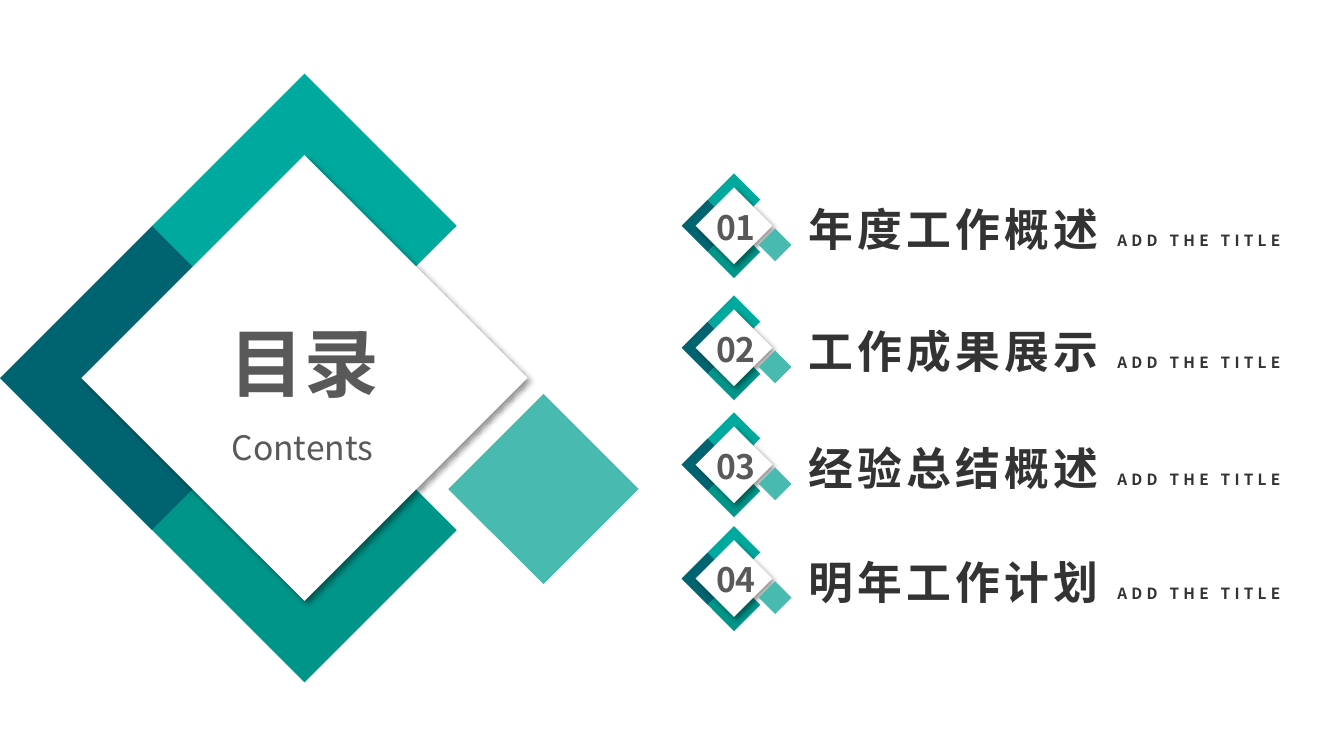
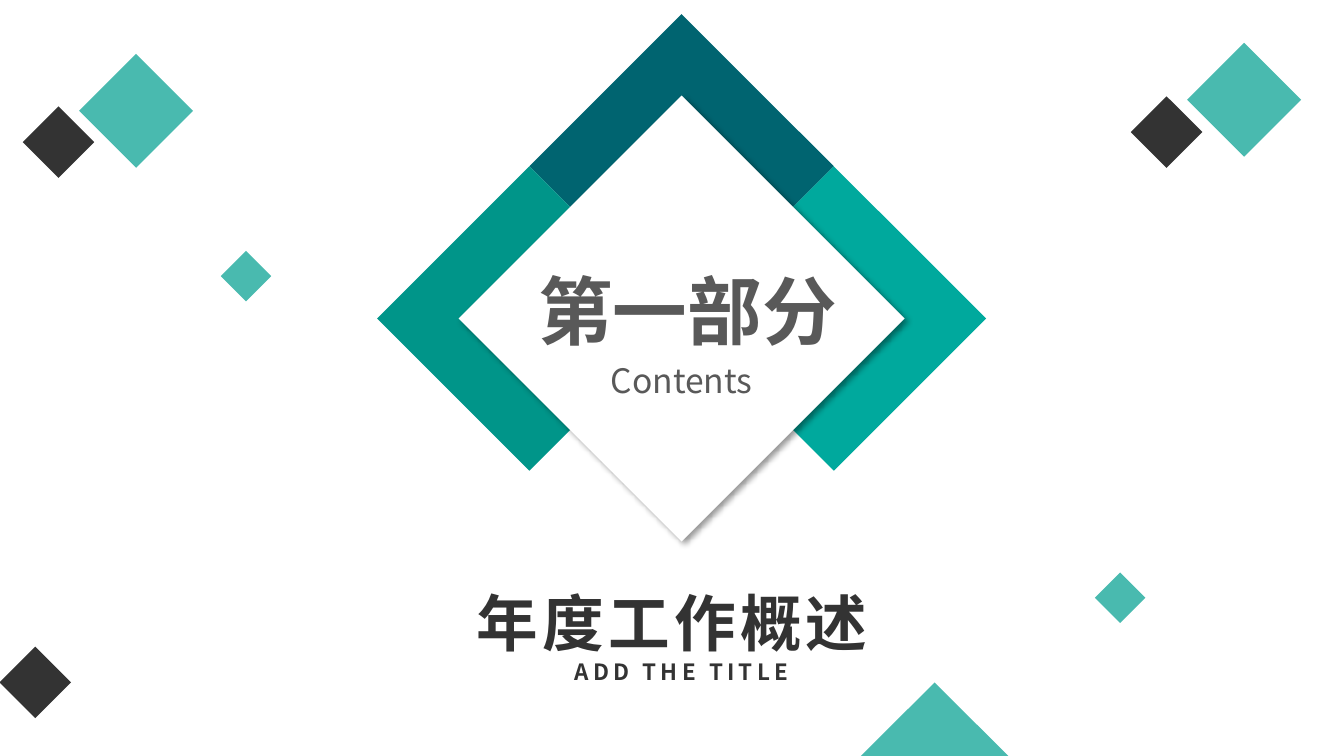
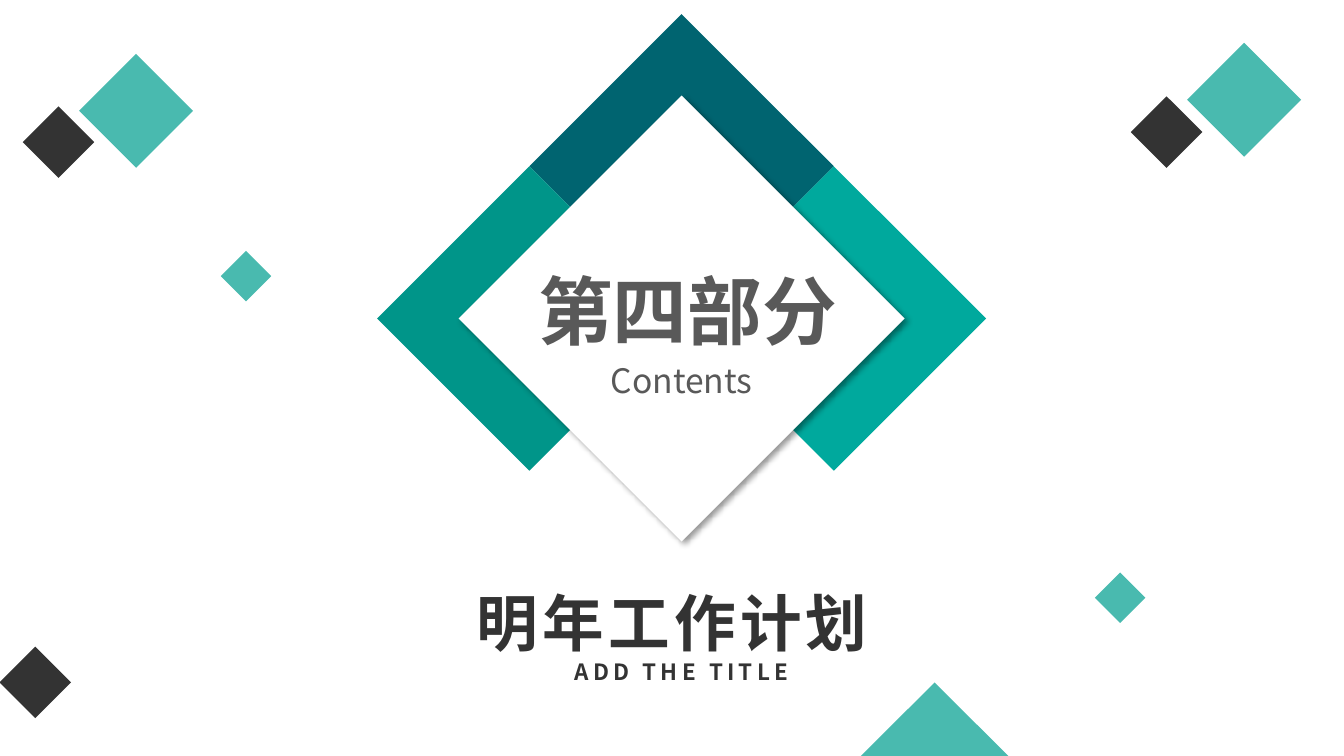
"""Build a contents slide and two section slides of a work report."""
from dataclasses import dataclass

from lxml import etree
from pptx import Presentation
from pptx.dml.color import RGBColor
from pptx.enum.shapes import MSO_SHAPE
from pptx.enum.text import MSO_ANCHOR, MSO_AUTO_SIZE, PP_ALIGN
from pptx.oxml.ns import qn
from pptx.shapes.autoshape import Shape
from pptx.slide import Slide
from pptx.util import Inches, Pt

DIAMOND = MSO_SHAPE.DIAMOND
LEFT, CENTER = PP_ALIGN.LEFT, PP_ALIGN.CENTER
TOP, BOTTOM = MSO_ANCHOR.TOP, MSO_ANCHOR.BOTTOM
FIXED, GROW = MSO_AUTO_SIZE.NONE, MSO_AUTO_SIZE.SHAPE_TO_FIT_TEXT

FONT = "Noto Sans CJK SC"
DEEP, TEAL, GREEN, MINT = "006470", "00A99D", "009589", "49BAAF"
WHITE, GREY, DARK = "FFFFFF", "595959", "333333"
TAG = "ADD THE TITLE"


@dataclass(frozen=True)
class Gem:
    x: float
    y: float
    size: float
    fill: str


@dataclass(frozen=True)
class Run:
    text: str
    size: float
    color: str
    bold: bool = True
    gap: int = 0


@dataclass(frozen=True)
class Box:
    x: float
    y: float
    w: float
    h: float
    align: PP_ALIGN = CENTER
    anchor: MSO_ANCHOR = TOP
    fit: MSO_AUTO_SIZE = FIXED
    inset: bool = True


@dataclass(frozen=True)
class Topic:
    number: str
    title: str
    y: float


ARMS = [(-1, 0, DEEP), (0, -1, TEAL), (0, 1, GREEN)]
TOPICS = [
    Topic("01", "年度工作概述 ", 2.24),
    Topic("02", "工作成果展示 ", 3.45),
    Topic("03", "经验总结概述 ", 4.61),
    Topic("04", "明年工作计划 ", 5.74),
]
SPARKS = [
    Gem(11.57, 1.31, 0.71, DARK),
    Gem(12.34, 0.99, 1.13, MINT),
    Gem(9.27, 7.72, 1.9, MINT),
    Gem(0.58, 1.41, 0.71, DARK),
    Gem(1.35, 1.1, 1.13, MINT),
    Gem(0.35, 6.77, 0.71, DARK),
    Gem(2.44, 2.74, 0.5, MINT),
    Gem(11.11, 5.93, 0.5, MINT),
]


def tint(code: str) -> RGBColor:
    """Turn a hex string into a colour."""
    return RGBColor.from_string(code)


def draw_gem(slide: Slide, gem: Gem) -> Shape:
    """Draw a diamond around its centre."""
    half = gem.size / 2
    shape = slide.shapes.add_shape(
        DIAMOND, Inches(gem.x - half), Inches(gem.y - half),
        Inches(gem.size), Inches(gem.size))
    shape.shadow.inherit = False
    shape.fill.solid()
    shape.fill.fore_color.rgb = tint(gem.fill)
    shape.line.fill.background()
    return shape


def cast_shade(shape: Shape) -> None:
    """Give a shape a soft shadow to the lower right."""
    effects = shape._element.spPr.find(qn("a:effectLst"))
    shade = etree.SubElement(
        effects, qn("a:outerShdw"), blurRad=str(Pt(4)), dist=str(Pt(3)),
        dir="2700000", algn="tl", rotWithShape="0")
    color = etree.SubElement(shade, qn("a:srgbClr"), val="000000")
    etree.SubElement(color, qn("a:alpha"), val="40000")


def draw_badge(slide: Slide, x: float, y: float, unit: float,
               turned: bool = False) -> None:
    """Draw three coloured arms under a white diamond."""
    for dx, dy, fill in ARMS:
        if turned:
            dx, dy = -dy, dx
        draw_gem(slide, Gem(x + dx * unit, y + dy * unit, 2 * unit, fill))
    cast_shade(draw_gem(slide, Gem(x, y, 2.93 * unit, WHITE)))
    if not turned:
        draw_gem(slide, Gem(x + 1.57 * unit, y + 0.73 * unit, 1.25 * unit, MINT))


def write(slide: Slide, box: Box, *lines: list[Run]) -> None:
    """Write lines of runs into a text box."""
    frame = slide.shapes.add_textbox(
        Inches(box.x), Inches(box.y), Inches(box.w), Inches(box.h)).text_frame
    style = {"word_wrap": True, "auto_size": box.fit, "vertical_anchor": box.anchor}
    if not box.inset:
        style |= {f"margin_{side}": 0 for side in ("left", "top", "right", "bottom")}
    for name, value in style.items():
        setattr(frame, name, value)
    for index, line in enumerate(lines):
        para = frame.paragraphs[0] if index == 0 else frame.add_paragraph()
        para.alignment = box.align
        for item in line:
            run = para.add_run()
            run.text = item.text
            look = {"name": FONT, "size": Pt(item.size), "bold": item.bold}
            for name, value in look.items():
                setattr(run.font, name, value)
            run.font.color.rgb = tint(item.color)
            props = run.font._element
            etree.SubElement(props, qn("a:ea"), typeface=FONT)
            if item.gap:
                props.set("spc", str(item.gap * 100))


def write_head(slide: Slide, small: Box, large: Box, text: str) -> None:
    """Write the heading and its subtitle inside a badge."""
    write(slide, small, [Run("Contents", 24, GREY, bold=False)])
    write(slide, large, [Run(text, 53.3, GREY)])


def name_runs(title: str, size: float, small: float) -> list[Run]:
    """Make the runs of a topic's title and tag."""
    return [Run(title, size, DARK, gap=3), Run(TAG, small, DARK, gap=3)]


def draw_list(slide: Slide) -> None:
    """Draw the contents slide."""
    draw_badge(slide, 3.02, 3.75, 1.51)
    write_head(slide, Box(1.76, 3.93, 2.48, 0.71, anchor=BOTTOM, inset=False),
               Box(1.78, 3.09, 2.48, 1.27), "目录")
    for topic in TOPICS:
        draw_badge(slide, 7.28, topic.y, 0.26)
        write(slide, Box(6.93, topic.y - 0.24, 0.74, 0.38),
              [Run(topic.number, 24, GREY)])
        write(slide, Box(7.92, topic.y - 0.29, 5.18, 0.64, LEFT, fit=GROW),
              name_runs(topic.title, 32, 11))


def draw_part(slide: Slide, head: str, topic: Topic) -> None:
    """Draw a section slide."""
    draw_badge(slide, 6.76, 3.16, 1.51, turned=True)
    write_head(slide, Box(5.52, 3.26, 2.48, 0.71, anchor=BOTTOM, inset=False),
               Box(5.19, 2.58, 3.26, 1.27), head)
    write(slide, Box(4.17, 5.75, 5.18, 1.11, fit=GROW),
          *([run] for run in name_runs(topic.title, 44, 16)))
    for gem in SPARKS:
        draw_gem(slide, gem)


def main() -> None:
    """Build and save the deck."""
    deck = Presentation()
    deck.slide_width, deck.slide_height = Inches(13.33), Inches(7.5)
    blank = deck.slide_layouts[6]
    draw_list(deck.slides.add_slide(blank))
    for head, topic in (("第一部分", TOPICS[0]), ("第四部分", TOPICS[3])):
        draw_part(deck.slides.add_slide(blank), head, topic)
    deck.save("out.pptx")


if __name__ == "__main__":
    main()
